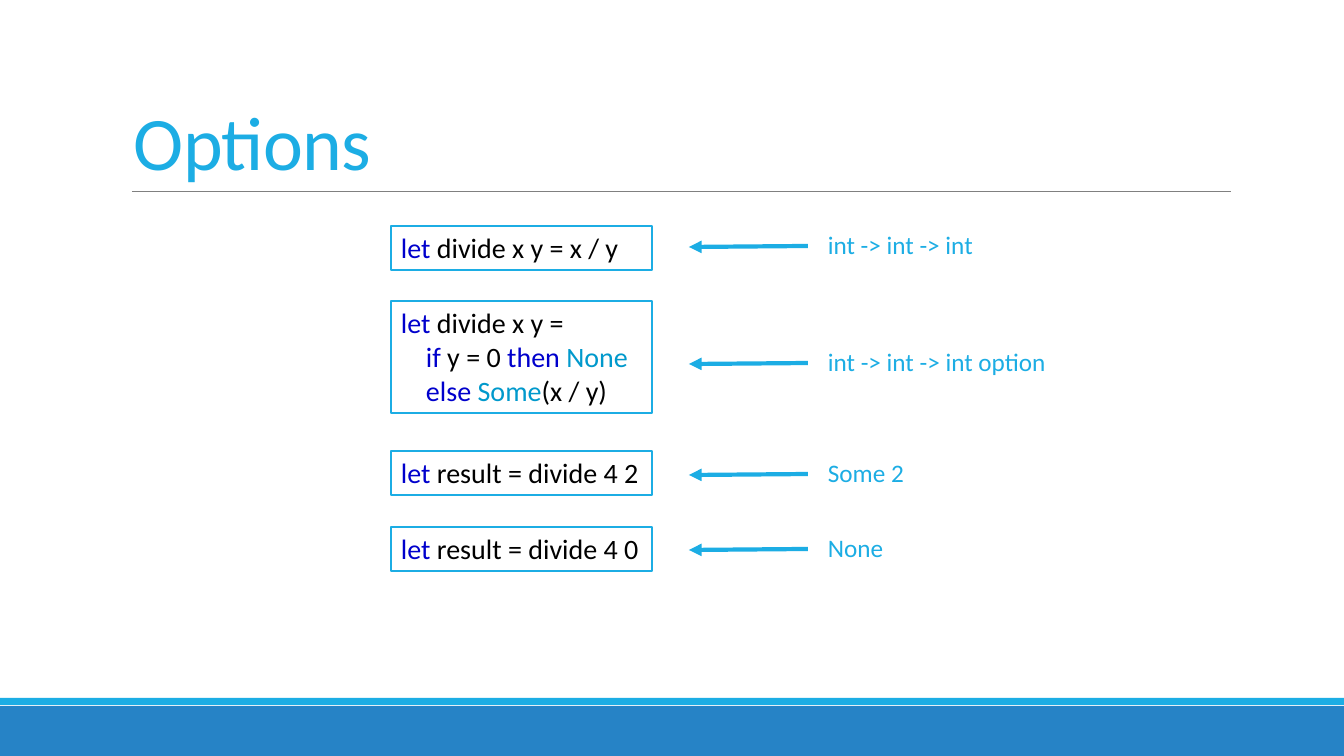
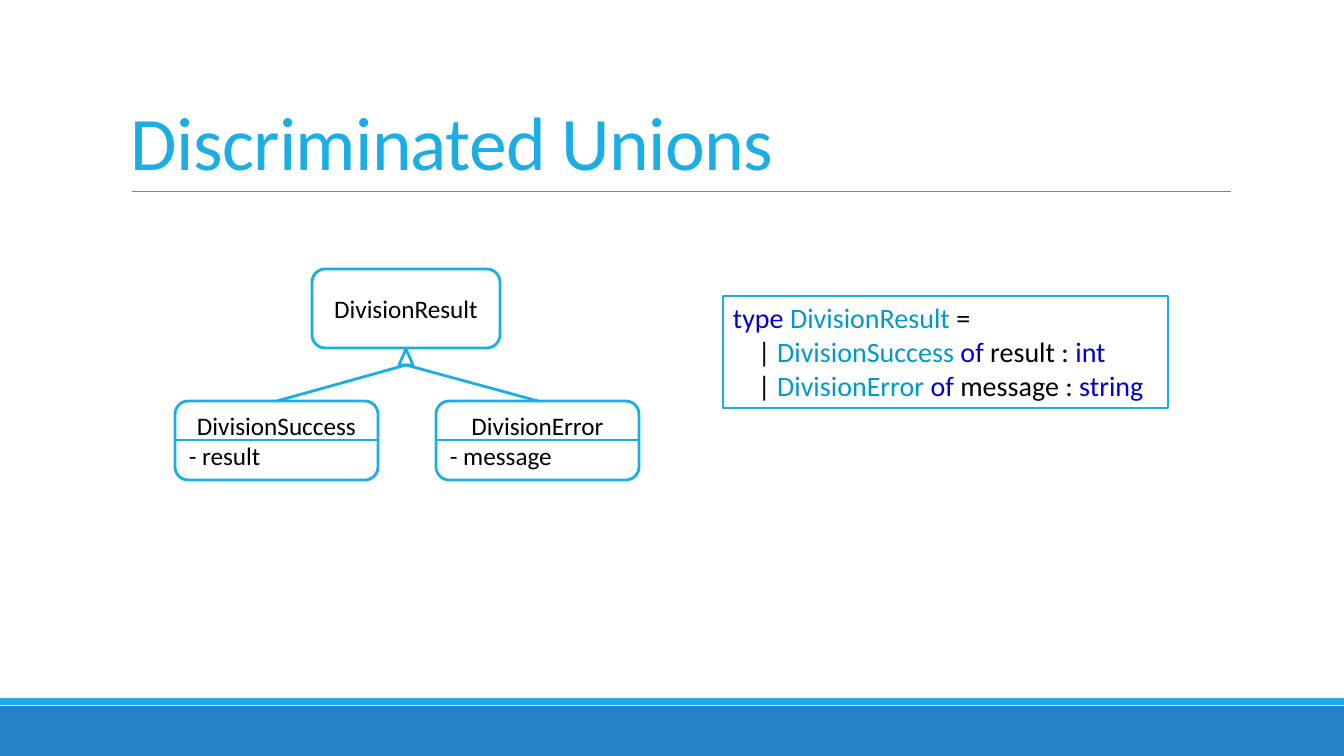
"""Build two slides on options and discriminated unions."""
from lxml.etree import SubElement
from pptx import Presentation
from pptx.dml.color import RGBColor
from pptx.enum.shapes import MSO_CONNECTOR, MSO_SHAPE
from pptx.enum.text import MSO_ANCHOR as Anchor, MSO_AUTO_SIZE as AutoSize, PP_ALIGN as Align
from pptx.oxml.ns import qn
from pptx.util import Pt

SCALE = 914400 / 100.8
COLOURS = {
    "accent": "1CADE4", "band": "2683C6", "rule": "808080", "paper": "FFFFFF",
    "text": "000000", "keyword": "0000CC", "type": "0099CC",
}
FONT = "Calibri"
INDENT = 25


def px(length):
    return round(length * SCALE)


def colour(name):
    return RGBColor.from_string(COLOURS[name])


class Deck:
    def __init__(self):
        self.deck = Presentation()
        self.deck.slide_width, self.deck.slide_height = px(1344), px(756)
        self.page = None

    def add_page(self, title, left, top, width):
        self.page = self.deck.slides.add_slide(self.deck.slide_layouts[6])
        self.add_box(MSO_SHAPE.RECTANGLE, 0, 706, 1344, 50, fill="band", line=None)
        self.add_box(MSO_SHAPE.RECTANGLE, 0, 698, 1344, 7, fill="accent", line=None)
        self.add_line(132, 191, 1231, 191, "rule", 0.5)
        box = self.page.shapes.add_textbox(px(left), px(top), px(width), px(191 - top))
        self.set_text(box, [[(title, "accent")]], 54, word_wrap=True,
                      vertical_anchor=Anchor.BOTTOM)
        para = box.text_frame.paragraphs[0]
        para.line_spacing = 0.85
        para.runs[0].font._element.set("spc", "-50")

    def add_box(self, kind, left, top, width, height, fill="paper", line="accent"):
        box = self.page.shapes.add_shape(kind, px(left), px(top), px(width), px(height))
        box.shadow.inherit = False
        if fill:
            box.fill.solid()
            box.fill.fore_color.rgb = colour(fill)
        else:
            box.fill.background()
        if line:
            box.line.color.rgb = colour(line)
            box.line.width = Pt(2)
        else:
            box.line.fill.background()
        return box

    def add_line(self, x1, y1, x2, y2, name="accent", width=2, arrow=False):
        line = self.page.shapes.add_connector(
            MSO_CONNECTOR.STRAIGHT, px(x1), px(y1), px(x2), px(y2))
        line.line.color.rgb = colour(name)
        line.line.width = Pt(width)
        properties = line._element.spPr
        if arrow:
            SubElement(properties.get_or_add_ln(), qn("a:tailEnd"), type="triangle")
        SubElement(properties, qn("a:effectLst"))

    def set_text(self, box, lines, size, aligns=(), **frame_format):
        frame = box.text_frame
        for key, value in frame_format.items():
            setattr(frame, key, value)
        for number, spans in enumerate(lines):
            para = frame.add_paragraph() if number else frame.paragraphs[0]
            para.alignment = aligns[number] if aligns else Align.LEFT
            for text, name in spans:
                span = para.add_run()
                span.text = text
                span.font.color.rgb = colour(name)
                for key, value in {"name": FONT, "size": Pt(size)}.items():
                    setattr(span.font, key, value)

    def add_code(self, left, top, width, lines):
        height = 44 if len(lines) == 1 else 112
        box = self.add_box(MSO_SHAPE.RECTANGLE, left, top, width, height)
        self.set_text(box, lines, 20, word_wrap=True, vertical_anchor=Anchor.TOP,
                      auto_size=AutoSize.SHAPE_TO_FIT_TEXT)
        for para in box.text_frame.paragraphs[1:]:
            properties = para._p.get_or_add_pPr()
            properties.set("marL", str(px(INDENT)))
            properties.set("indent", "0")

    def add_note(self, top, width, text):
        box = self.page.shapes.add_textbox(px(818), px(top), px(width), px(40))
        self.set_text(box, [[(text, "accent")]], 18, word_wrap=False,
                      auto_size=AutoSize.SHAPE_TO_FIT_TEXT)
        self.add_line(808, top + 22, 689, top + 23, width=3, arrow=True)

    def add_class(self, left, top, width, *lines):
        box = self.add_box(MSO_SHAPE.ROUNDED_RECTANGLE, left, top, width, 79)
        self.set_text(box, [[(text, "text")] for text in lines], 18,
                      aligns=(Align.CENTER, Align.LEFT), word_wrap=True,
                      vertical_anchor=Anchor.MIDDLE)


deck = Deck()

deck.add_page("Options", 124, 55, 1048)
examples = [
    (226, [[("let", "keyword"), (" divide x y = x / y", "text")]],
     224, 167, "int -> int -> int"),
    (301, [[("let", "keyword"), (" divide x y =", "text")],
           [("if", "keyword"), (" y = 0 ", "text"), ("then ", "keyword"), ("None", "type")],
           [("else ", "keyword"), ("Some", "type"), ("(x / y)", "text")]],
     341, 241, "int -> int -> int option"),
    (451, [[("let", "keyword"), (" result = divide 4 2", "text")]],
     452, 97, "Some 2"),
    (527, [[("let", "keyword"), (" result = divide 4 0", "text")]],
     527, 77, "None"),
]
for code_top, lines, note_top, note_width, result in examples:
    deck.add_code(391, code_top, 261, lines)
    deck.add_note(note_top, note_width, result)

deck.add_page("Discriminated Unions", 121, 31, 1109)
deck.add_code(723, 296, 445, [
    [("type ", "keyword"), ("DivisionResult", "type"), (" =", "text")],
    *[[("| ", "text"), (case, "type"), ("of", "keyword"), (field, "text"), (kind, "keyword")]
      for case, field, kind in [("DivisionSuccess ", " result : ", "int"),
                                ("DivisionError ", " message : ", "string")]],
])
deck.add_class(312, 269, 188, "DivisionResult")
for left, name, field in [(175, "DivisionSuccess", "- result"),
                          (436, "DivisionError", "- message")]:
    deck.add_class(left, 401, 203, name, field)
    deck.add_line(left + 102, 401, 406, 365)
    deck.add_line(left + 203, 440, left, 440)
deck.add_box(MSO_SHAPE.ISOSCELES_TRIANGLE, 399, 349, 14, 16, fill=None)

deck.deck.save("out.pptx")
